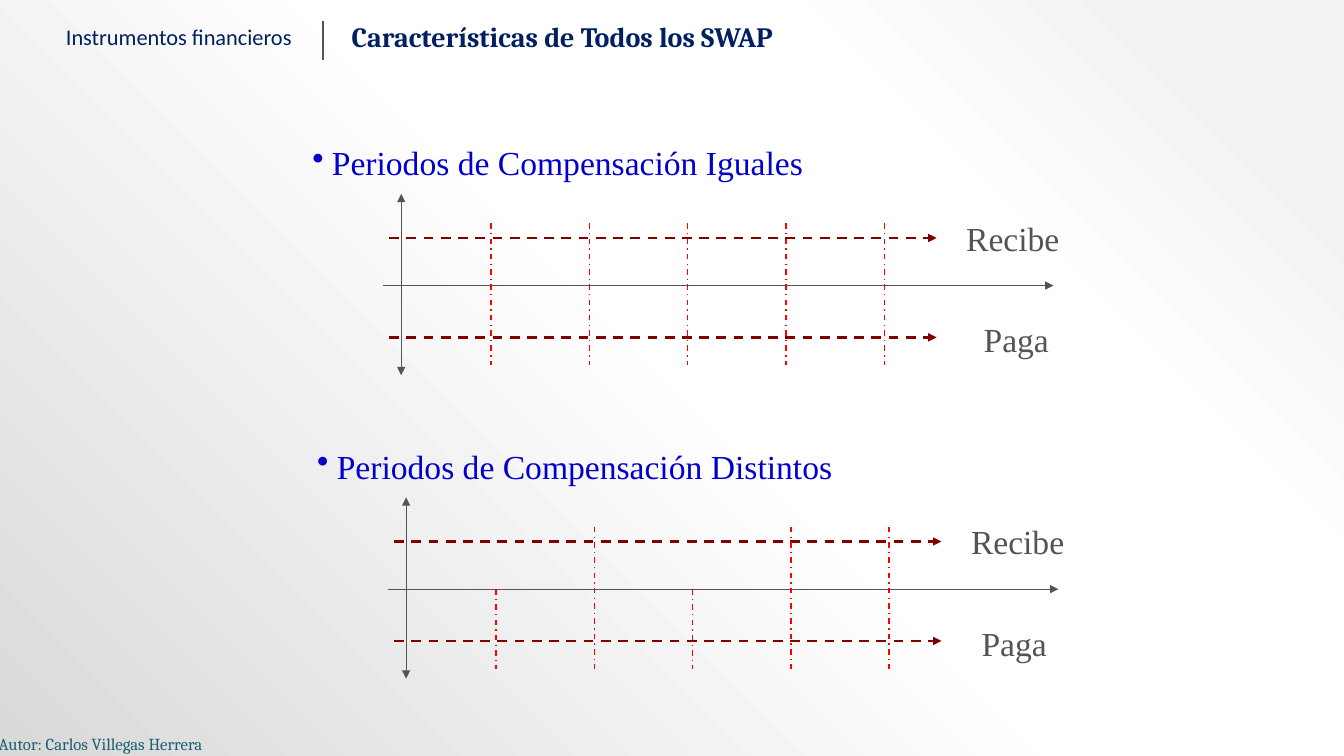
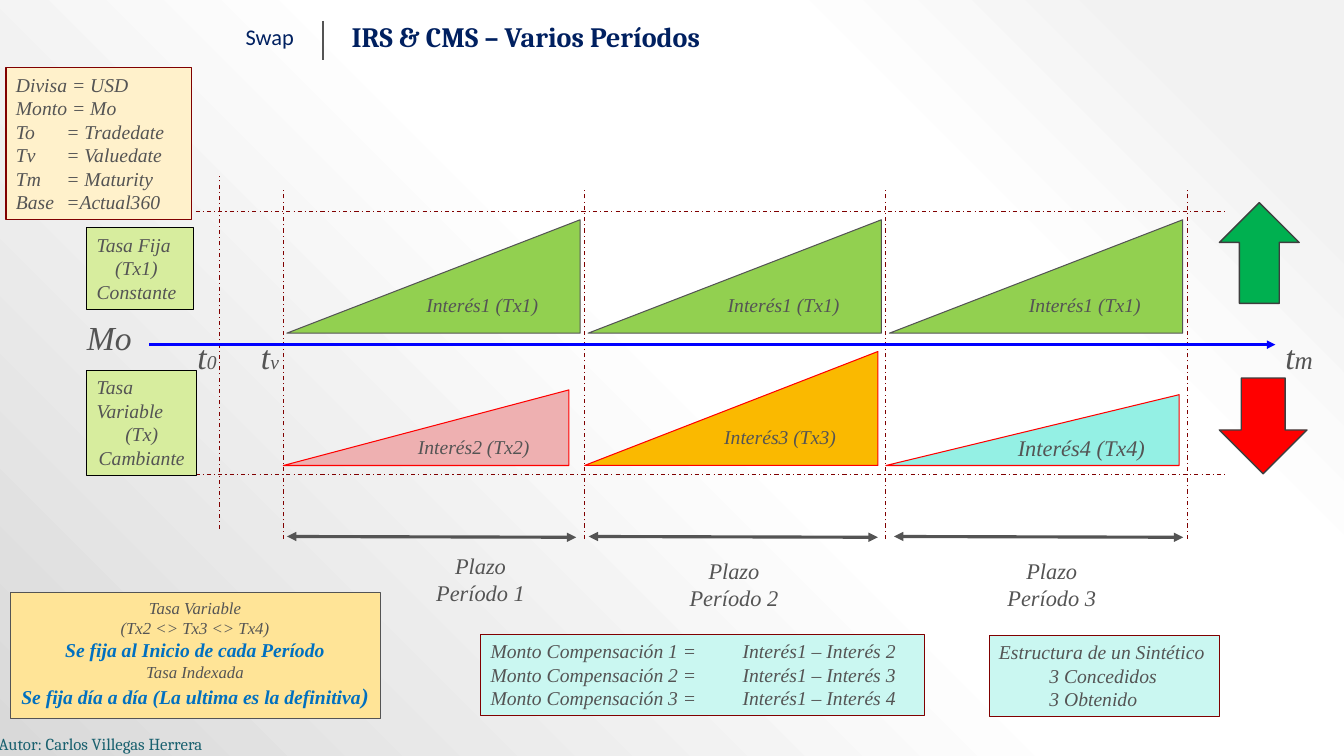
import dataclasses

import pptx
import pptx.dml.color
import pptx.enum.dml
import pptx.enum.shapes
import pptx.enum.text
import pptx.oxml
import pptx.oxml.ns
import pptx.util

Pt = pptx.util.Pt
SHAPES = pptx.enum.shapes.MSO_SHAPE
DASHES = pptx.enum.dml.MSO_LINE
ALIGNMENTS = pptx.enum.text.PP_ALIGN
ANCHORS = pptx.enum.text.MSO_ANCHOR
AUTO_SIZES = pptx.enum.text.MSO_AUTO_SIZE

GRAY, NAVY, BLUE = "545454", "002060", "0070C0"
MAROON, RED, BLACK = "800000", "FF0000", "000000"
LIME, GREEN, AQUA = "D7ED9E", "92D050", "CAF7F1"
BODY = {"name": "Times New Roman", "size": 24, "color": GRAY}
ITALIC = {**BODY, "size": 14, "italic": True}
TITLE = {"name": "Cambria", "size": 20, "bold": True, "color": NAVY}
SECTION = {"name": "Calibri", "size": 16, "color": NAVY}
AUTHOR = {"name": "Cambria", "size": 12, "color": "1A616F"}
BACKGROUND_STOPS = [(10, "F2F2F2"), (28, "FFFFFF"), (48, "FFFFFF"), (100, "D9D9D9")]


def rgb(value):
    return pptx.dml.color.RGBColor.from_string(value)


def xml(markup):
    """Build one DrawingML element, given without its prefix and opening bracket."""
    name, _, rest = markup.partition(" ")
    return pptx.oxml.parse_xml(f'<a:{name} {pptx.oxml.ns.nsdecls("a")} {rest}')


@dataclasses.dataclass
class Line:
    """One paragraph; runs are (text, format changes) pairs."""
    runs: list
    align: str = "LEFT"
    margin: float = 0
    indent: float = 0
    tab: float = 0
    bullet: str = ""


def plain(text, align="LEFT", **options):
    return Line([(text, {})], align, **options)


def centered(*texts):
    return [plain(text, "CENTER") for text in texts]


class Deck:
    """Holds the shared style and the current slide; lengths are in points."""

    def __init__(self):
        self.presentation = pptx.Presentation()
        self.presentation.slide_width = Pt(960)
        self.presentation.slide_height = Pt(540)
        self.slide = None
        self.set_background()

    def set_background(self):
        master = self.presentation.slide_master
        master.background.fill.gradient()
        gradient = master.element.xpath("p:cSld/p:bg/p:bgPr/a:gradFill")[0]
        for child in list(gradient):
            gradient.remove(child)
        stops = "".join(
            f'<a:gs pos="{position * 1000}"><a:srgbClr val="{color}"/></a:gs>'
            for position, color in BACKGROUND_STOPS)
        gradient.append(xml(f"gsLst >{stops}</a:gsLst>"))
        gradient.append(xml('path path="circle"><a:fillToRect l="100000" t="0" '
                            'r="0" b="100000"/></a:path>'))

    def start_slide(self, title, section, section_width, section_align):
        layout = self.presentation.slide_layouts.get_by_name("Title Only")
        self.slide = self.presentation.slides.add_slide(layout)
        heading = self.slide.shapes.title
        self.place(heading, 244, 9, 428, 34)
        self.set_text(heading, [plain(title)], TITLE, anchor="MIDDLE")
        self.connect((230.5, 15), (230.5, 43), GRAY, 1.5)
        self.text((27, 9, section_width, 34), [plain(section, section_align)],
                  SECTION, anchor="MIDDLE", wrap=True, grow=False)
        self.text((-8, 520.5, 169, 21.5),
                  [plain("Autor: Carlos Villegas Herrera")], AUTHOR)

    def place(self, shape, *box):
        for name, value in zip(("left", "top", "width", "height"), box):
            setattr(shape, name, Pt(value))

    def set_text(self, shape, lines, style, anchor="TOP", wrap=True, grow=False):
        frame = shape.text_frame
        settings = {
            "word_wrap": wrap,
            "vertical_anchor": ANCHORS[anchor],
            "auto_size": AUTO_SIZES.SHAPE_TO_FIT_TEXT if grow else AUTO_SIZES.NONE,
        }
        for name, value in settings.items():
            setattr(frame, name, value)
        for index, line in enumerate(lines):
            paragraph = frame.add_paragraph() if index else frame.paragraphs[0]
            self.format_paragraph(paragraph, line)
            for text, changes in line.runs:
                run = paragraph.add_run()
                run.text = text
                self.format_font(run.font, {**style, **changes})

    def format_paragraph(self, paragraph, line):
        paragraph.alignment = ALIGNMENTS[line.align]
        properties = paragraph._p.get_or_add_pPr()
        properties.set("marL", str(int(Pt(line.margin))))
        properties.set("indent", str(int(Pt(line.indent))))
        if line.bullet:
            properties.append(xml(f'buChar char="{line.bullet}"/>'))
        if line.tab:
            properties.append(xml(f'tabLst ><a:tab pos="{int(Pt(line.tab))}" '
                                  'algn="l"/></a:tabLst>'))

    def format_font(self, font, style):
        values = {**style, "size": Pt(style["size"])}
        font.color.rgb = rgb(values.pop("color"))
        for name, value in values.items():
            setattr(font, name, value)

    def text(self, box, lines, style, anchor="TOP", wrap=False, grow=True):
        shape = self.slide.shapes.add_textbox(*map(Pt, box))
        self.set_text(shape, lines, style, anchor, wrap, grow)

    def shape(self, kind, box, fill, outline, width=0.75):
        shape = self.slide.shapes.add_shape(kind, *map(Pt, box))
        shape.shadow.inherit = False
        shape.fill.solid()
        shape.fill.fore_color.rgb = rgb(fill)
        shape.line.color.rgb = rgb(outline)
        shape.line.width = Pt(width)
        return shape

    def note(self, box, fill, outline, lines, wrap=True):
        shape = self.shape(SHAPES.RECTANGLE, box, fill, outline)
        self.set_text(shape, lines, ITALIC, wrap=wrap, grow=True)

    def ramp(self, box, fill, outline, label, size=14):
        """Right triangle that rises to the right, with a label."""
        shape = self.shape(SHAPES.RIGHT_TRIANGLE, box, fill, outline)
        shape.element.spPr.find(pptx.oxml.ns.qn("a:xfrm")).set("flipH", "1")
        self.set_text(shape, centered(label), {**ITALIC, "size": size},
                      anchor="MIDDLE", wrap=False)

    def connect(self, start, end, color, width, dash=None, arrows=()):
        """Straight line; arrows names the ends to point: "head", "tail"."""
        connector = self.slide.shapes.add_connector(
            pptx.enum.shapes.MSO_CONNECTOR.STRAIGHT, *map(Pt, start + end))
        connector.line.color.rgb = rgb(color)
        connector.line.width = Pt(width)
        if dash:
            connector.line.dash_style = dash
        properties = connector.element.spPr
        outline = properties.find(pptx.oxml.ns.qn("a:ln"))
        for arrow in arrows:
            outline.append(xml(f'{arrow}End type="triangle"/>'))
        properties.append(xml("effectLst />"))


def add_flow_diagram(deck, left, top, title, title_width, pay_left, half_ticks=()):
    """Receive and pay flows over time; half ticks reach only the pay side."""
    deck.text((left, top, title_width, 36),
              [plain(title, margin=14, indent=-14, bullet="•")],
              {**BODY, "color": "0000CC"})
    axis = top + 106
    deck.connect((left + 57.5, axis), (left + 536.5, axis), GRAY, 0.75,
                 arrows=["tail"])
    for flow in (top + 72, top + 143):
        deck.connect((left + 62, flow), (left + 453, flow), MAROON, 1.75,
                     DASHES.DASH, ["tail"])
    for index in range(5):
        tick = left + 134.8 + 70.2 * index
        start = axis if index in half_ticks else top + 61.5
        deck.connect((tick, start), (tick, top + 163), RED, 1, DASHES.DASH_DOT)
    deck.connect((left + 70.6, top + 170), (left + 70.6, top + 40.5), GRAY, 0.75,
                 arrows=["head", "tail"])
    deck.text((left + 467, top + 54, 82, 36), [plain("Recibe")], BODY)
    deck.text((pay_left, top + 126.5, 62, 36), [plain("Paga")], BODY)


def add_features_slide(deck):
    deck.start_slide("Características de Todos los SWAP",
                     "Instrumentos financieros", 201.5, "CENTER")
    add_flow_diagram(deck, 216, 98, "Periodos de Compensación Iguales", 369, 695.5)
    add_flow_diagram(deck, 219.5, 314.8, "Periodos de Compensación Distintos",
                     386, 694, half_ticks=(0, 2))


def add_periods(deck):
    start, step = 202.4, 215.2
    for index in range(4):
        edge = start + step * index
        deck.connect((edge, 385), (edge, 134), MAROON, 0.75, DASHES.DASH_DOT)
    deck.connect((157, 378), (157, 126), MAROON, 0.75, DASHES.DASH_DOT)
    for level in (151.2, 339):
        deck.connect((139.7, level), (877, level), MAROON, 0.75, DASHES.DASH_DOT)
    periods = [
        # variable ramp: width, height, fill, size; span left; label left, top
        (204, 54, "EEB0B1", 14, 205, 304, 391),
        (209.5, 81.4, "FAB900", 14, 420.5, 485, 394.5),
        (209.5, 50.6, "94F0E4", 16, 638.6, 712, 394.5),
    ]
    for index, period in enumerate(periods):
        width, height, fill, size, span, label_left, label_top = period
        left = start + step * index
        deck.ramp((left + 2.5, 157, 209.5, 81), GREEN, GRAY, "Interés1 (Tx1)")
        number = index + 2
        deck.ramp((left, 332.5 - height, width, height), fill, RED,
                  f"Interés{number} (Tx{number})", size)
        deck.connect((span, 383.2), (span + 206.6, 383.8), GRAY, 2.25,
                     arrows=["head", "tail"])
        deck.text((label_left, label_top, 78.5, 46),
                  centered("Plazo", f"Período {index + 1}"), {**ITALIC, "size": 16})


def add_time_axis(deck):
    deck.connect((106.5, 246.2), (911, 246.2), "0000FF", 2, arrows=["tail"])
    large = {**ITALIC, "size": 24}
    deck.text((55, 222.5, 47, 36), [plain("Mo")], large)
    for left, width, mark, size in ((134, 28, "0", 14), (179.3, 27.4, "v", 14),
                                    (911, 34.5, "m", 18)):
        deck.text((left, 236.2, width, 36),
                  [Line([("t", {}), (mark, {"size": size})])], large)


def add_notes(deck):
    terms = ["To\t= Tradedate", "Tv\t= Valuedate", "Tm\t= Maturity",
             "Base\t=Actual360"]
    deck.note((4.3, 48.3, 132.5, 108.7), "FFF1CB", MAROON,
              [plain("Divisa = USD"), plain("Monto = Mo")]
              + [plain(term, tab=40) for term in terms])
    deck.note((62, 162.7, 76.3, 58.3), LIME, BLACK,
              [plain("Tasa Fija")] + centered("(Tx1)", "Constante"), wrap=False)
    deck.note((62, 264.5, 78.5, 75), LIME, BLACK,
              [plain("Tasa Variable")] + centered("(Tx)", "Cambiante"))
    small, strong = {"size": 12}, {"color": BLUE, "bold": True}
    rate_lines = [
        [("Tasa Variable", small)],
        [("(Tx2 <> Tx3 <> Tx4)", small)],
        [("Se fija al Inicio de cada Período", strong)],
        [("Tasa Indexada", small)],
        [("Se fija día a día (La ultima es la definitiva", strong),
         (")", {**strong, "size": 16})],
    ]
    deck.note((7.2, 423.5, 264.3, 90), "FFE497", GRAY,
              [Line(runs, "CENTER") for runs in rate_lines], wrap=False)
    deck.note((343.3, 453, 317, 58.3), AQUA, MAROON,
              [plain(f"Monto Compensación {number} =\tInterés1 – Interés {number + 1}",
                     tab=154) for number in (1, 2, 3)])
    deck.note((706.5, 453.6, 164.3, 58.3), AQUA, MAROON,
              [plain("Estructura de un Sintético"),
               plain("3 Concedidos", margin=36), plain("3 Obtenido", margin=36)])


def add_periods_slide(deck):
    deck.start_slide("IRS & CMS – Varios Períodos", "Swap", 190, "RIGHT")
    add_periods(deck)
    add_time_axis(deck)
    add_notes(deck)
    deck.shape(SHAPES.UP_ARROW, (871, 144.7, 57, 72), "00B050", "3E3E3E", 1)
    deck.shape(SHAPES.DOWN_ARROW, (871, 270, 62.6, 68.4), RED, "3E3E3E", 1)


def main():
    deck = Deck()
    add_features_slide(deck)
    add_periods_slide(deck)
    deck.presentation.save("out.pptx")


if __name__ == "__main__":
    main()
